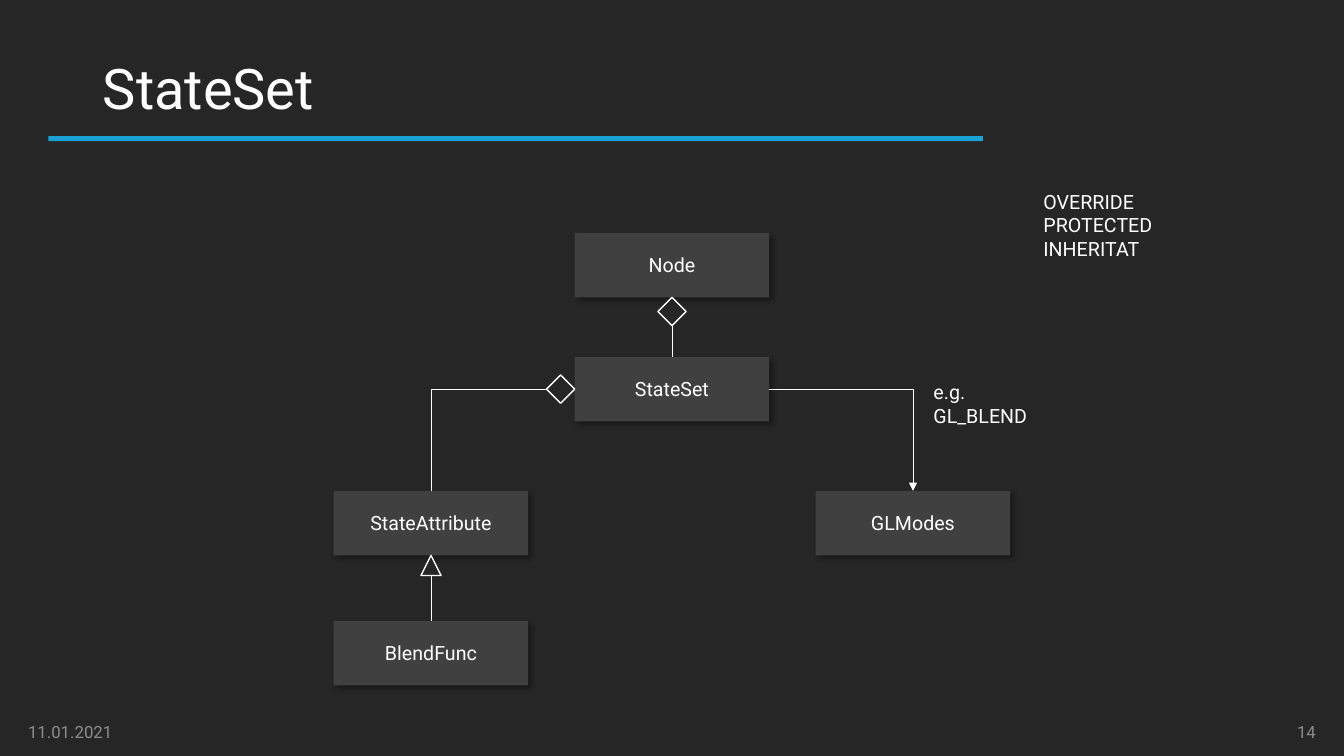
from lxml import etree
from pptx import Presentation
from pptx.dml.color import RGBColor
from pptx.enum.shapes import MSO_CONNECTOR, MSO_SHAPE
from pptx.enum.text import MSO_ANCHOR, MSO_AUTO_SIZE, PP_ALIGN
from pptx.oxml.ns import qn
from pptx.util import Inches, Pt

RECTANGLE = MSO_SHAPE.RECTANGLE
DIAMOND = MSO_SHAPE.FLOWCHART_DECISION
TRIANGLE = MSO_SHAPE.ISOSCELES_TRIANGLE
STRAIGHT, ELBOW = MSO_CONNECTOR.STRAIGHT, MSO_CONNECTOR.ELBOW
LEFT, CENTER, RIGHT = PP_ALIGN.LEFT, PP_ALIGN.CENTER, PP_ALIGN.RIGHT
TOP, MIDDLE = MSO_ANCHOR.TOP, MSO_ANCHOR.MIDDLE
NO_AUTOFIT = MSO_AUTO_SIZE.NONE

COLORS = {"background": "262626", "accent": "18A1D2", "box": "404040",
          "text": "FFFFFF", "muted": "8C8C8C", "shadow": "000000"}
FONT = "Roboto"

# Diagram grid in inches: column centres and row tops
WIDTH, HEIGHT = 13.33, 7.5
BOX_WIDTH, BOX_HEIGHT = 1.93, 0.64
COLUMN_STEP = 2.39
COLUMNS = [WIDTH / 2 + COLUMN_STEP * step for step in (-1, 0, 1)]
ROWS = [2.31, 3.54, 4.87, 6.16]
DIAMOND_SIZE, TRIANGLE_SIZE = 0.28, 0.2
FOOTER_TOP, FOOTER_MARGIN, FOOTER_WIDTH, FOOTER_HEIGHT = 7.06, 0.18, 3, 0.4

# Class name: (column, row)
CLASSES = {"Node": (1, 0), "StateSet": (1, 1), "StateAttribute": (0, 2),
           "GLModes": (2, 2), "BlendFunc": (0, 3)}

# Connection sites of a box or diamond
SITE_TOP, SITE_LEFT, SITE_BOTTOM, SITE_RIGHT = range(4)


def color(name):
    return RGBColor.from_string(COLORS[name])


def write(shape, lines, size=14, color_name="text", align=LEFT, anchor=TOP, spacing=None):
    frame = shape.text_frame
    settings = {"word_wrap": True, "auto_size": NO_AUTOFIT, "vertical_anchor": anchor}
    for name, value in settings.items():
        setattr(frame, name, value)
    for index, line in enumerate(lines):
        paragraph = frame.add_paragraph() if index else frame.paragraphs[0]
        paragraph.text = line
        paragraph.alignment = align
        paragraph.line_spacing = spacing
        for name, value in {"name": FONT, "size": Pt(size)}.items():
            setattr(paragraph.font, name, value)
        paragraph.font.color.rgb = color(color_name)


def add_text(slide, place, lines, **formats):
    write(slide.shapes.add_textbox(*map(Inches, place)), lines, **formats)


def add_filled(slide, place, fill):
    shape = slide.shapes.add_shape(RECTANGLE, *map(Inches, place))
    shape.shadow.inherit = False
    shape.fill.solid()
    shape.fill.fore_color.rgb = color(fill)
    shape.line.fill.background()
    return shape


def add_drop_shadow(shape):
    effects = shape._element.spPr.find(qn("a:effectLst"))
    shadow = etree.SubElement(effects, qn("a:outerShdw"), blurRad=str(Pt(4)),
                              dist=str(Pt(3)), dir="2700000", algn="tl", rotWithShape="0")
    shade = etree.SubElement(shadow, qn("a:srgbClr"), val=COLORS["shadow"])
    etree.SubElement(shade, qn("a:alpha"), val="40000")


def add_class_box(slide, name, column, row):
    place = (COLUMNS[column] - BOX_WIDTH / 2, ROWS[row], BOX_WIDTH, BOX_HEIGHT)
    shape = add_filled(slide, place, "box")
    add_drop_shadow(shape)
    write(shape, [name], align=CENTER, anchor=MIDDLE)
    return shape


def add_marker(slide, kind, center, top, size):
    place = (center - size / 2, top, size, size)
    shape = slide.shapes.add_shape(kind, *map(Inches, place))
    shape.shadow.inherit = False
    shape.fill.background()
    shape.line.color.rgb = color("text")
    shape.line.width = Pt(1)
    return shape


def add_link(slide, kind, start, start_site, end=None, end_site=None, point=None, arrow=False):
    """Join two shapes, or a shape and a point."""
    connector = slide.shapes.add_connector(kind, 0, 0, 0, 0)
    connector.begin_connect(start, start_site)
    if end is not None:
        connector.end_connect(end, end_site)
    else:
        connector.end_x, connector.end_y = point
    connector.line.color.rgb = color("text")
    connector.line.width = Pt(0.5)
    properties = connector._element.spPr
    if kind == ELBOW:  # a single corner
        properties.find(qn("a:prstGeom")).set("prst", "bentConnector2")
    if arrow:
        etree.SubElement(properties.find(qn("a:ln")), qn("a:tailEnd"), type="triangle")
    etree.SubElement(properties, qn("a:effectLst"))


def add_header_and_footer(slide):
    add_filled(slide, (0.48, 1.35, 9.27, 0.05), "accent")
    title = slide.shapes.title
    for name, value in {"left": 0.92, "top": 0.18, "width": 11.5, "height": 1.45}.items():
        setattr(title, name, Inches(value))
    write(title, ["StateSet"], size=40, anchor=MIDDLE, spacing=0.9)
    right_left = WIDTH - FOOTER_MARGIN - FOOTER_WIDTH
    for left, text, align in ((FOOTER_MARGIN, "11.01.2021", LEFT), (right_left, "14", RIGHT)):
        add_text(slide, (left, FOOTER_TOP, FOOTER_WIDTH, FOOTER_HEIGHT), [text],
                 size=12, color_name="muted", align=align, anchor=MIDDLE)


def add_class_diagram(slide):
    boxes = {name: add_class_box(slide, name, *cell) for name, cell in CLASSES.items()}

    # Aggregation and inheritance markers
    node_diamond = add_marker(slide, DIAMOND, COLUMNS[1], ROWS[0] + BOX_HEIGHT, DIAMOND_SIZE)
    state_diamond = add_marker(slide, DIAMOND, COLUMNS[1] - (BOX_WIDTH + DIAMOND_SIZE) / 2,
                               ROWS[1] + (BOX_HEIGHT - DIAMOND_SIZE) / 2, DIAMOND_SIZE)
    triangle = add_marker(slide, TRIANGLE, COLUMNS[0], ROWS[2] + BOX_HEIGHT, TRIANGLE_SIZE)
    triangle_base = (triangle.left + triangle.width // 2, triangle.top + triangle.height)

    # Relations
    add_link(slide, STRAIGHT, node_diamond, SITE_BOTTOM, boxes["StateSet"], SITE_TOP)
    add_link(slide, ELBOW, state_diamond, SITE_LEFT, boxes["StateAttribute"], SITE_TOP)
    add_link(slide, STRAIGHT, boxes["BlendFunc"], SITE_TOP, point=triangle_base)
    add_link(slide, ELBOW, boxes["StateSet"], SITE_RIGHT, boxes["GLModes"], SITE_TOP, arrow=True)


def main():
    presentation = Presentation()
    presentation.slide_width, presentation.slide_height = Inches(WIDTH), Inches(HEIGHT)
    slide = presentation.slides.add_slide(presentation.slide_layouts[5])
    slide.background.fill.solid()
    slide.background.fill.fore_color.rgb = color("background")

    add_header_and_footer(slide)
    add_class_diagram(slide)
    # Notes beside the diagram
    add_text(slide, (9.16, 3.72, 2.1, 0.57), ["e.g.", "GL_BLEND"])
    add_text(slide, (10.25, 1.83, 1.79, 0.81), ["OVERRIDE", "PROTECTED", "INHERITAT"])
    presentation.save("out.pptx")


if __name__ == "__main__":
    main()
